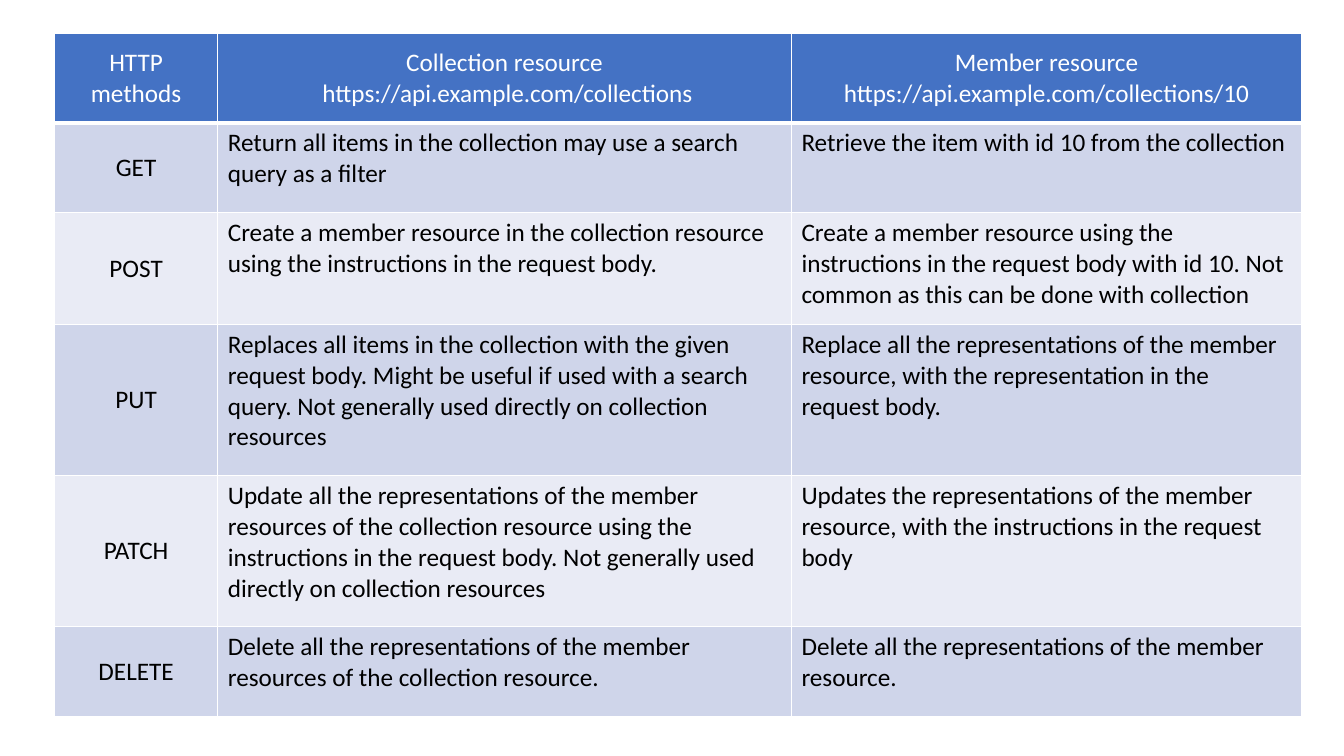
"""Build a slide with a table of HTTP methods for REST resources."""
from dataclasses import dataclass

import lxml.etree
import pptx
import pptx.dml.color
import pptx.enum.text
import pptx.oxml.ns
import pptx.table
import pptx.util

Inches = pptx.util.Inches
Pt = pptx.util.Pt
qn = pptx.oxml.ns.qn

COLORS = {
    "head": "4472C4",
    "odd": "CFD5EA",
    "even": "E9EBF5",
    "light": "FFFFFF",
    "dark": "000000",
}
WIDTHS = (1.62, 5.69, 5.06)


@dataclass(frozen=True)
class Method:
    height: float
    name: str
    group: str
    member: str

    @property
    def texts(self) -> tuple[str, str, str]:
        return self.name, self.group, self.member


ROWS = (
    Method(
        0.89,
        "HTTP methods",
        "Collection\u00a0resource\n\u00a0https://api.example.com/collections",
        "Member resource https://api.example.com/collections/10",
    ),
    Method(
        0.89,
        "GET",
        "Return all items in the collection may use a search query as a filter",
        "Retrieve the item with id 10 from the collection\u00a0",
    ),
    Method(
        1.11,
        "POST",
        "Create\u00a0a member resource in the collection resource using the "
        "instructions in the request body.\u00a0",
        "Create\u00a0a member resource using the instructions in the request "
        "body with id 10. Not common as this can be done with collection",
    ),
    Method(
        1.5,
        "PUT",
        "Replaces all items in the collection with the given request body. "
        "Might be useful if used with a search query. Not generally used "
        "directly on collection resources",
        "Replace\u00a0all the representations of the member resource, with "
        "the representation in the request body.",
    ),
    Method(
        1.5,
        "PATCH",
        "Update\u00a0all the representations of the member resources of the "
        "collection resource using the instructions in the request body. "
        "Not generally used directly on collection resources",
        "Updates the representations of the member resource, with the "
        "instructions in the request body",
    ),
    Method(
        0.89,
        "DELETE",
        "Delete\u00a0all the representations of the member resources of the "
        "collection resource.",
        "Delete\u00a0all the representations of the member resource.",
    ),
)


def color(name: str) -> pptx.dml.color.RGBColor:
    return pptx.dml.color.RGBColor.from_string(COLORS[name])


def add_edges(cell: pptx.table._Cell, base: float) -> None:
    props = cell._tc.get_or_add_tcPr()
    for side, width in (("L", 1), ("R", 1), ("T", 1), ("B", base)):
        line = lxml.etree.SubElement(props, qn(f"a:ln{side}"), w=str(Pt(width)))
        fill = lxml.etree.SubElement(line, qn("a:solidFill"))
        lxml.etree.SubElement(fill, qn("a:srgbClr"), val=COLORS["light"])


def fill_cell(cell: pptx.table._Cell, text: str, row: int, col: int) -> None:
    head = row == 0
    cell.text = text
    add_edges(cell, 3 if head else 1)
    cell.fill.solid()
    cell.fill.fore_color.rgb = color("head" if head else "odd" if row % 2 else "even")
    center = head or col == 0
    if center:
        cell.vertical_anchor = pptx.enum.text.MSO_ANCHOR.MIDDLE
    for para in cell.text_frame.paragraphs:
        if center:
            para.alignment = pptx.enum.text.PP_ALIGN.CENTER
        para.font.name = "Calibri"
        para.font.size = Pt(18)
        para.font.bold = False
        para.font.color.rgb = color("light" if head else "dark")


def add_grid(slide: pptx.slide.Slide) -> None:
    height = sum(item.height for item in ROWS)
    frame = slide.shapes.add_table(
        len(ROWS), len(WIDTHS), Inches(0.54), Inches(0.33),
        Inches(sum(WIDTHS)), Inches(height),
    )
    table = frame.table
    for column, width in zip(table.columns, WIDTHS):
        column.width = Inches(width)
    for row, item in enumerate(ROWS):
        table.rows[row].height = Inches(item.height)
        for col, text in enumerate(item.texts):
            fill_cell(table.cell(row, col), text, row, col)


def main() -> None:
    deck = pptx.Presentation()
    deck.slide_width = Inches(13.33)
    deck.slide_height = Inches(7.5)
    add_grid(deck.slides.add_slide(deck.slide_layouts[6]))
    deck.save("out.pptx")


main()
